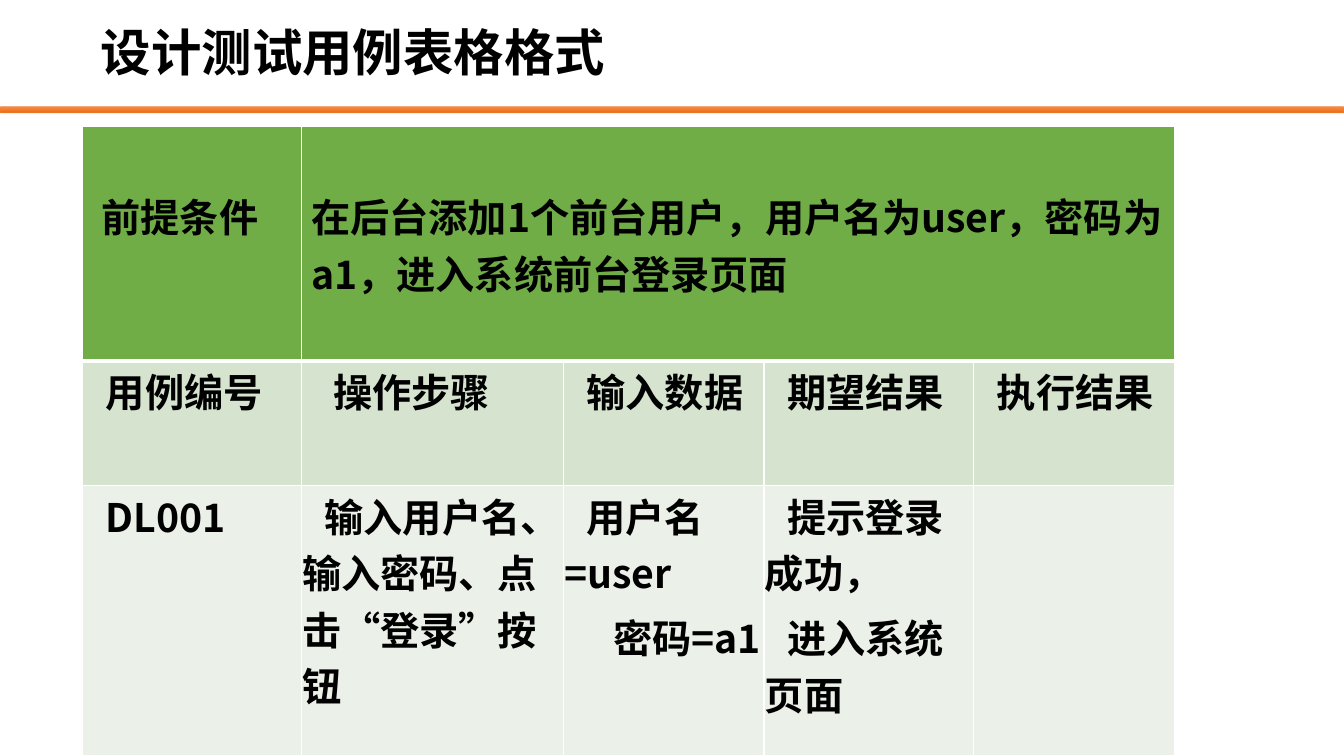
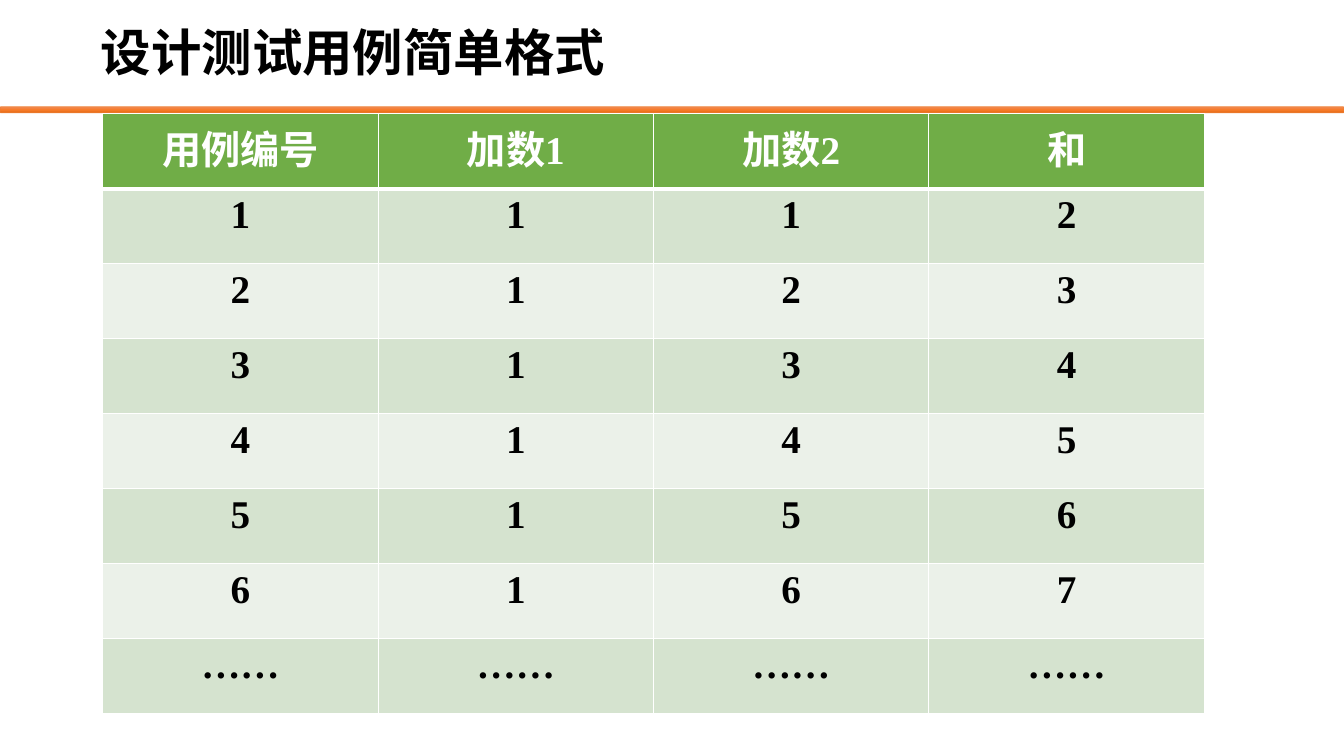
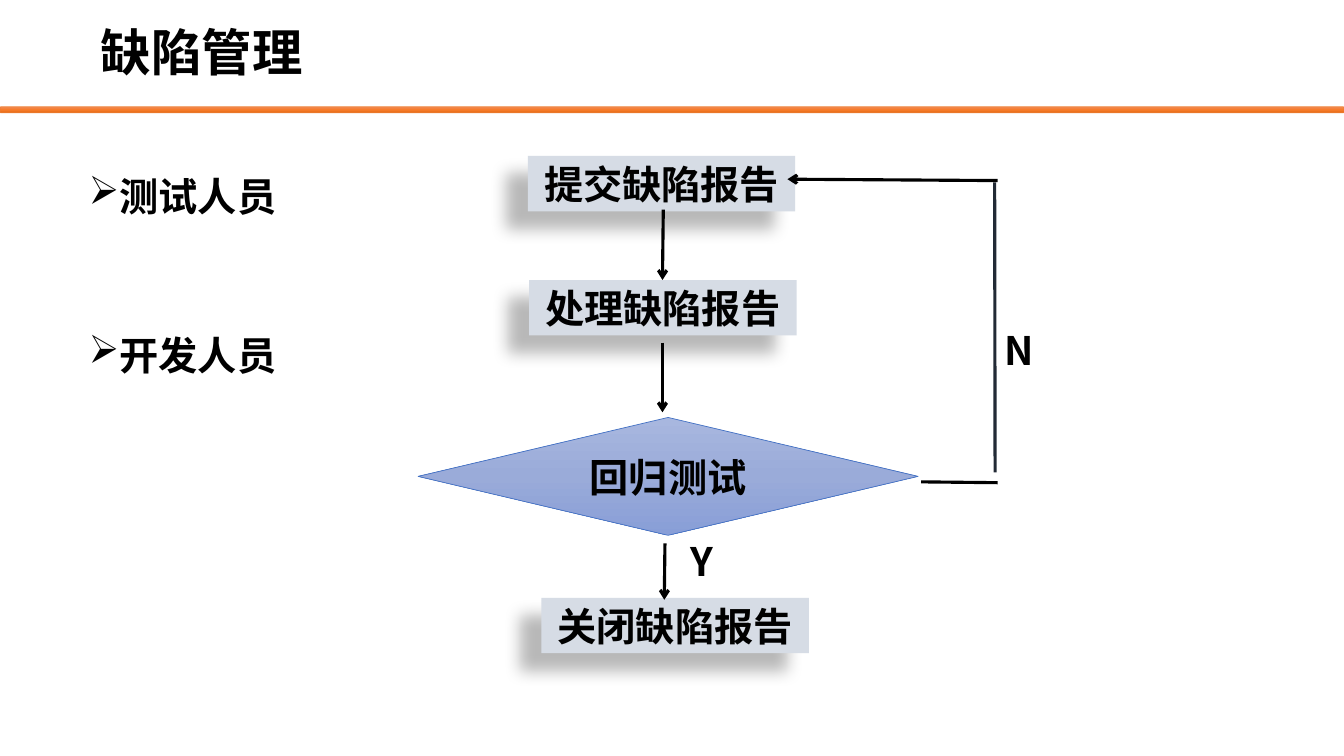
from pptx import Presentation
from pptx.dml.color import RGBColor
from pptx.enum.shapes import MSO_CONNECTOR, MSO_SHAPE
from pptx.enum.text import MSO_ANCHOR, MSO_AUTO_SIZE, PP_ALIGN
from pptx.oxml import parse_xml
from pptx.oxml.ns import nsdecls, qn
from pptx.util import Pt

BLACK = RGBColor(0x00, 0x00, 0x00)
WHITE = RGBColor(0xFF, 0xFF, 0xFF)
ORANGE = RGBColor(0xED, 0x7D, 0x31)
BAND_GRADIENT = (RGBColor(0xF1, 0x8C, 0x57), RGBColor(0xF6, 0x7B, 0x28), RGBColor(0xE5, 0x6C, 0x19))
GREEN = RGBColor(0x70, 0xAD, 0x47)
GREEN_ROWS = (RGBColor(0xEB, 0xF1, 0xE9), RGBColor(0xD5, 0xE3, 0xCF))
BLUE = RGBColor(0x44, 0x72, 0xC4)
DIAMOND_GRADIENT = (RGBColor(0xA8, 0xB7, 0xDF), RGBColor(0x9A, 0xAB, 0xD9), RGBColor(0x88, 0x9E, 0xD7))
GREY = RGBColor(0xD6, 0xDC, 0xE5)
NAVY = RGBColor(0x22, 0x2A, 0x35)

SANS = "Noto Sans CJK SC"
SERIF = "Times New Roman"
LEFT, CENTER = PP_ALIGN.LEFT, PP_ALIGN.CENTER
MIDDLE = MSO_ANCHOR.MIDDLE
RECTANGLE, ROUNDED, DIAMOND = MSO_SHAPE.RECTANGLE, MSO_SHAPE.ROUNDED_RECTANGLE, MSO_SHAPE.DIAMOND
STRAIGHT = MSO_CONNECTOR.STRAIGHT
GROW = MSO_AUTO_SIZE.SHAPE_TO_FIT_TEXT

WIDTH, HEIGHT = 960, 540


class Deck:
    """Holds the shared style and the slide being filled; lengths are in points."""

    def __init__(self):
        self.presentation = Presentation()
        self.presentation.slide_width = Pt(WIDTH)
        self.presentation.slide_height = Pt(HEIGHT)
        self.slide = None

    def new_slide(self, title):
        self.slide = self.presentation.slides.add_slide(self.presentation.slide_layouts[6])
        band = self.shape(ROUNDED, 0, 76.3, WIDTH, 4.3, line=ORANGE)
        self.gradient(band, BAND_GRADIENT)
        frame = self.text_box(65, 4.3, 828, 70.6)
        frame.vertical_anchor = MIDDLE
        self.set_text(frame.paragraphs[0], title, size=36, font=SERIF).line_spacing = 0.9

    def set_text(self, paragraph, text, size=28, font=SANS, color=BLACK, align=LEFT, indent=0):
        paragraph.text = text
        paragraph.alignment = align
        paragraph.font.size = Pt(size)
        paragraph.font.bold = True
        paragraph.font.name = font
        paragraph.font.color.rgb = color
        properties = paragraph._p.get_or_add_pPr()
        properties.set("marL", "0")
        properties.set("indent", str(Pt(indent)))
        latin = properties.find(qn("a:defRPr")).find(qn("a:latin"))
        latin.addnext(parse_xml(f'<a:ea {nsdecls("a")} typeface="{SANS}"/>'))
        return paragraph

    def text_box(self, left, top, width, height):
        frame = self.slide.shapes.add_textbox(Pt(left), Pt(top), Pt(width), Pt(height)).text_frame
        frame.word_wrap = True
        return frame

    def label(self, left, top, text):
        frame = self.text_box(left, top, 160, 41)
        frame.auto_size = GROW
        self.set_text(frame.paragraphs[0], text)

    def bullets(self, left, top, width, height, texts, gap):
        frame = self.text_box(left, top, width, height)
        frame.margin_top = Pt(17)
        for index, text in enumerate(texts):
            paragraph = frame.add_paragraph() if index else frame.paragraphs[0]
            self.set_text(paragraph, text, indent=-18)
            if index:
                paragraph.space_before = Pt(gap)
            properties = paragraph._p.get_or_add_pPr()
            properties.set("marL", str(Pt(18)))
            bullet = parse_xml(f'<a:buChar {nsdecls("a")} char="➢"/>')
            properties.find(qn("a:defRPr")).addprevious(bullet)

    def shape(self, kind, left, top, width, height, fill=None, line=None, text=None):
        shape = self.slide.shapes.add_shape(kind, Pt(left), Pt(top), Pt(width), Pt(height))
        shape.shadow.inherit = False
        if fill is not None:
            shape.fill.solid()
            shape.fill.fore_color.rgb = fill
        if line is None:
            shape.line.fill.background()
        else:
            shape.line.color.rgb = line
            shape.line.width = Pt(0.5)
        if text:
            shape.text_frame.vertical_anchor = MIDDLE
            self.set_text(shape.text_frame.paragraphs[0], text, align=CENTER)
        return shape

    def gradient(self, shape, colors):
        """Fill the shape from top to bottom with evenly spaced colours."""
        shape.fill.gradient()
        shape.fill.gradient_angle = 270
        stops = shape._element.spPr.find(".//" + qn("a:gsLst"))
        for stop in list(stops):
            stops.remove(stop)
        for index, color in enumerate(colors):
            position = 100000 * index // (len(colors) - 1)
            stops.append(parse_xml(
                f'<a:gs {nsdecls("a")} pos="{position}"><a:srgbClr val="{color}"/></a:gs>'))

    def report_box(self, left, top, text):
        box = self.shape(RECTANGLE, left, top, 191, 39.6, fill=GREY, text=text)
        box._element.spPr.find(qn("a:effectLst")).append(parse_xml(
            f'<a:outerShdw {nsdecls("a")} blurRad="{Pt(11.8)}" dist="{Pt(19.7)}" '
            f'dir="{141 * 60000}" algn="ctr" rotWithShape="0">'
            f'<a:srgbClr val="{BLACK}"><a:alpha val="28000"/></a:srgbClr></a:outerShdw>'))

    def line(self, start, end, arrow=False, color=BLACK):
        connector = self.slide.shapes.add_connector(
            STRAIGHT, *(Pt(value) for value in (*start, *end)))
        connector.line.color.rgb = color
        connector.line.width = Pt(2.25)
        properties = connector._element.spPr
        if arrow:
            properties.find(qn("a:ln")).append(
                parse_xml(f'<a:tailEnd {nsdecls("a")} type="arrow"/>'))
        properties.append(parse_xml(f'<a:effectLst {nsdecls("a")}/>'))

    def table(self, left, top, widths, heights):
        """Add a table with a green first row, banded rows and white borders."""
        table = self.slide.shapes.add_table(
            len(heights), len(widths), Pt(left), Pt(top), Pt(sum(widths)), Pt(sum(heights))).table
        table.first_row = table.horz_banding = False
        for column, width in zip(table.columns, widths):
            column.width = Pt(width)
        for index, (row, height) in enumerate(zip(table.rows, heights)):
            row.height = Pt(height)
            for cell in row.cells:
                cell.fill.solid()
                cell.fill.fore_color.rgb = GREEN_ROWS[index % 2] if index else GREEN
                top_width, bottom_width = (3 if index == 1 else 1), (1 if index else 3)
                self.borders(cell, L=1, R=1, T=top_width, B=bottom_width)
        return table

    def borders(self, cell, **widths):
        properties = cell._tc.get_or_add_tcPr()
        for index, (side, width) in enumerate(widths.items()):
            properties.insert(index, parse_xml(
                f'<a:ln{side} {nsdecls("a")} w="{Pt(width)}"><a:solidFill>'
                f'<a:srgbClr val="{WHITE}"/></a:solidFill></a:ln{side}>'))


def add_case_table(deck):
    deck.new_slide("设计测试用例表格格式")
    table = deck.table(59, 90, (156.2, 187.2, 143.3, 149.8, 143.3), (168, 89, 193))
    table.cell(0, 1).merge(table.cell(0, 4))
    conditions = (("前提条件", 13.6), ("在后台添加1个前台用户，用户名为user，密码为a1，进入系统前台登录页面", 7.2))
    for column, (text, margin) in enumerate(conditions):
        cell = table.cell(0, column)
        cell.margin_top, cell.margin_left = Pt(44), Pt(margin)
        deck.set_text(cell.text_frame.paragraphs[0], text)

    first = 16
    rows = (
        ([("用例编号", first)], [("操作步骤", 22.3)], [("输入数据", first)],
         [("期望结果", first)], [("执行结果", first)]),
        ([("DL001", first)], [("输入用户名、 输入密码、点击“登录”按钮", first)],
         [("用户名=user", first), ("密码=a1", 35)],
         [("提示登录成功，", first), ("进入系统页面", first)], []),
    )
    for row_index, row in enumerate(rows, 1):
        for column, paragraphs in enumerate(row):
            cell = table.cell(row_index, column)
            cell.margin_left = cell.margin_right = cell.margin_top = Pt(0.7)
            cell.margin_bottom = 0
            frame = cell.text_frame
            for index, (text, indent) in enumerate(paragraphs):
                paragraph = frame.add_paragraph() if index else frame.paragraphs[0]
                deck.set_text(paragraph, text, indent=indent).space_after = Pt(6)


def add_sum_table(deck):
    deck.new_slide("设计测试用例简单格式")
    rows = [("用例编号", "加数1", "加数2", "和")]
    rows += [(str(number), "1", str(number), str(number + 1)) for number in range(1, 7)]
    rows.append(("……",) * 4)
    table = deck.table(73.4, 81.2, [196.7] * 4, [53.6] * len(rows))
    for row_index, row in enumerate(rows):
        for column, text in enumerate(row):
            deck.set_text(table.cell(row_index, column).text_frame.paragraphs[0], text, font=SERIF,
                          color=BLACK if row_index else WHITE, align=CENTER)


def add_defect_flow(deck):
    deck.new_slide("缺陷管理")
    deck.bullets(56.2, 105.8, 840, 336, ("测试人员", "开发人员"), gap=80)
    deck.report_box(377, 111.4, "提交缺陷报告")
    deck.report_box(378, 200, "处理缺陷报告")
    diamond = deck.shape(DIAMOND, 298.6, 298.2, 357.2, 84.2, line=BLUE, text="回归测试")
    deck.gradient(diamond, DIAMOND_GRADIENT)
    deck.report_box(386.8, 427, "关闭缺陷报告")
    deck.line((473.8, 149.8), (473.2, 200), arrow=True)
    deck.line((473.2, 244.8), (473.2, 294.5), arrow=True)
    deck.line((475, 388.2), (474.5, 428.4), arrow=True)
    deck.line((658, 344.2), (712.6, 344.8))
    deck.line((710.8, 337.5), (710.5, 130.3), color=NAVY)
    deck.line((712.6, 129), (562.5, 128), arrow=True)
    deck.label(486, 380.2, "Y")
    deck.label(710.8, 229.7, "N")


def main():
    deck = Deck()
    add_case_table(deck)
    add_sum_table(deck)
    add_defect_flow(deck)
    deck.presentation.save("out.pptx")


if __name__ == "__main__":
    main()
